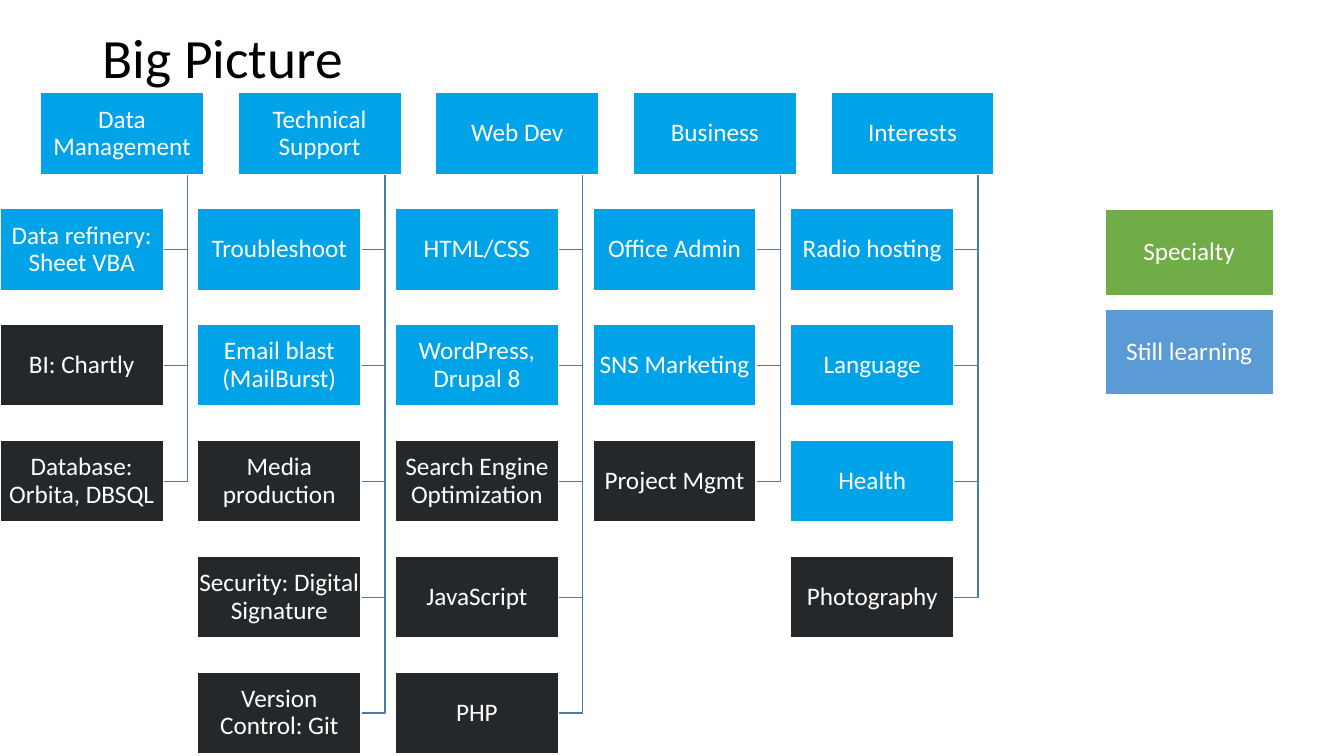
from dataclasses import dataclass

import pptx
import pptx.dml.color
import pptx.enum.shapes
import pptx.enum.text
import pptx.util

Inches = pptx.util.Inches
Pt = pptx.util.Pt


@dataclass(frozen=True)
class Theme:
    font: str = "Calibri"
    title_size: float = 39.6
    box_size: float = 18
    line_width: float = 1
    black: str = "000000"
    white: str = "FFFFFF"
    known: str = "00A2E8"
    planned: str = "25282A"
    branch: str = "497CAB"
    specialty: str = "70AD47"
    learning: str = "5B9BD5"


THEME = Theme()

# Heading, skills in blue, skills in dark grey
SKILL_GROUPS = [
    ("Data Management", ["Data refinery: Sheet VBA"],
     ["BI: Chartly", "Database: Orbita, DBSQL"]),
    ("Technical Support", ["Troubleshoot", "Email blast (MailBurst)"],
     ["Media production", "Security: Digital Signature", "Version Control: Git"]),
    ("Web Dev", ["HTML/CSS", "WordPress, Drupal 8"],
     ["Search Engine Optimization", "JavaScript", "PHP"]),
    ("Business", ["Office Admin", "SNS Marketing"], ["Project Mgmt"]),
    ("Interests", ["Radio hosting", "Language", "Health"], ["Photography"]),
]
LEGEND = [("Specialty", THEME.specialty), ("Still learning", THEME.learning)]

BOX_WIDTH, BOX_HEIGHT = 1.62, 0.81
COLUMN_STEP, ROW_STEP = 1.96, 1.15
HEADING_TOP, HEADING_INDENT = 0.92, 0.4
TRUNK_OFFSET = 1.86
LEGEND_LEFT, LEGEND_TOP, LEGEND_STEP = 10.96, 2.08, 0.99
LEGEND_WIDTH, LEGEND_HEIGHT = 1.67, 0.85


def rgb(color):
    return pptx.dml.color.RGBColor.from_string(color)


def format_text(frame, size, color, alignment):
    frame.word_wrap = True
    frame.auto_size = pptx.enum.text.MSO_AUTO_SIZE.NONE
    frame.vertical_anchor = pptx.enum.text.MSO_ANCHOR.MIDDLE
    for para in frame.paragraphs:
        para.alignment = alignment
        para.line_spacing = 0.9
        for span in para.runs:
            span.font.name = THEME.font
            span.font.size = Pt(size)
            span.font.color.rgb = rgb(color)


def add_title(page, text):
    title = page.shapes.title
    title.left, title.top = Inches(0.92), Inches(0.31)
    title.width, title.height = Inches(11.5), Inches(0.59)
    title.text_frame.text = text
    format_text(title.text_frame, THEME.title_size, THEME.black,
                pptx.enum.text.PP_ALIGN.LEFT)


def add_box(page, text, left, top, color, width=BOX_WIDTH, height=BOX_HEIGHT, inset=0.01):
    box = page.shapes.add_shape(
        pptx.enum.shapes.MSO_SHAPE.RECTANGLE,
        Inches(left), Inches(top), Inches(width), Inches(height))
    box.shadow.inherit = False
    box.fill.solid()
    box.fill.fore_color.rgb = rgb(color)
    box.line.color.rgb = rgb(THEME.white)
    box.line.width = Pt(THEME.line_width)
    frame = box.text_frame
    frame.margin_left = frame.margin_right = Inches(inset)
    frame.margin_top = frame.margin_bottom = Inches(inset)
    frame.text = text
    format_text(frame, THEME.box_size, THEME.white, pptx.enum.text.PP_ALIGN.CENTER)


def add_branch(page, left, row):
    """Draw the elbow from a heading down to the right side of a skill box."""
    trunk = Inches(left + TRUNK_OFFSET)
    middle = Inches(HEADING_TOP + row * ROW_STEP + BOX_HEIGHT / 2)
    builder = page.shapes.build_freeform(trunk, Inches(HEADING_TOP + BOX_HEIGHT))
    builder.add_line_segments(
        [(trunk, middle), (Inches(left + BOX_WIDTH), middle)], close=False)
    branch = builder.convert_to_shape()
    branch.shadow.inherit = False
    branch.fill.background()
    branch.line.color.rgb = rgb(THEME.branch)
    branch.line.width = Pt(THEME.line_width)


def add_skill_group(page, left, heading, known, planned):
    skills = [(text, THEME.known) for text in known]
    skills += [(text, THEME.planned) for text in planned]
    for row in range(len(skills), 0, -1):
        add_branch(page, left, row)
    add_box(page, heading, left + HEADING_INDENT, HEADING_TOP, THEME.known)
    for row, (text, color) in enumerate(skills, start=1):
        add_box(page, text, left, HEADING_TOP + row * ROW_STEP, color)


def main():
    deck = pptx.Presentation()
    deck.slide_width, deck.slide_height = Inches(13.33), Inches(7.5)
    page = deck.slides.add_slide(deck.slide_layouts.get_by_name("Title Only"))
    add_title(page, "Big Picture")
    for column, (heading, known, planned) in enumerate(SKILL_GROUPS):
        add_skill_group(page, column * COLUMN_STEP, heading, known, planned)
    for row, (text, color) in enumerate(LEGEND):
        add_box(page, text, LEGEND_LEFT, LEGEND_TOP + row * LEGEND_STEP, color,
                LEGEND_WIDTH, LEGEND_HEIGHT, inset=0.07)
    deck.save("out.pptx")


if __name__ == "__main__":
    main()
